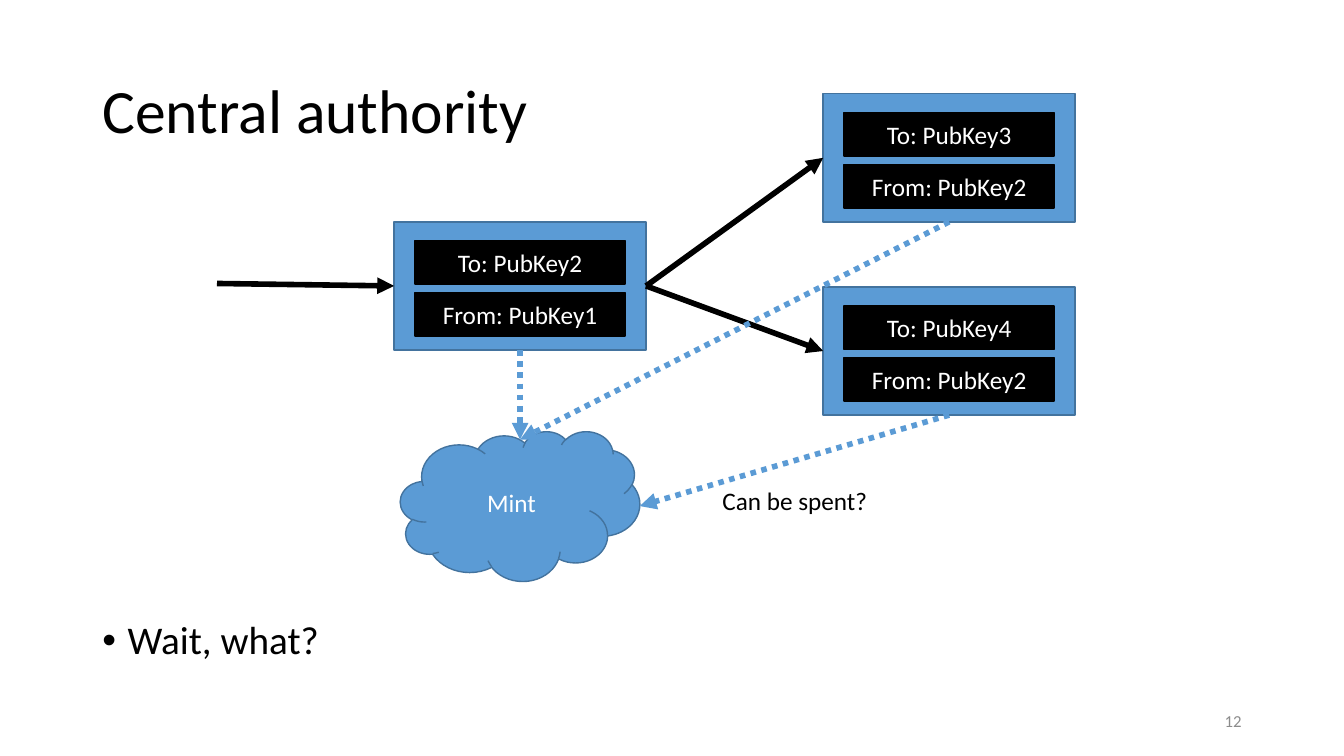
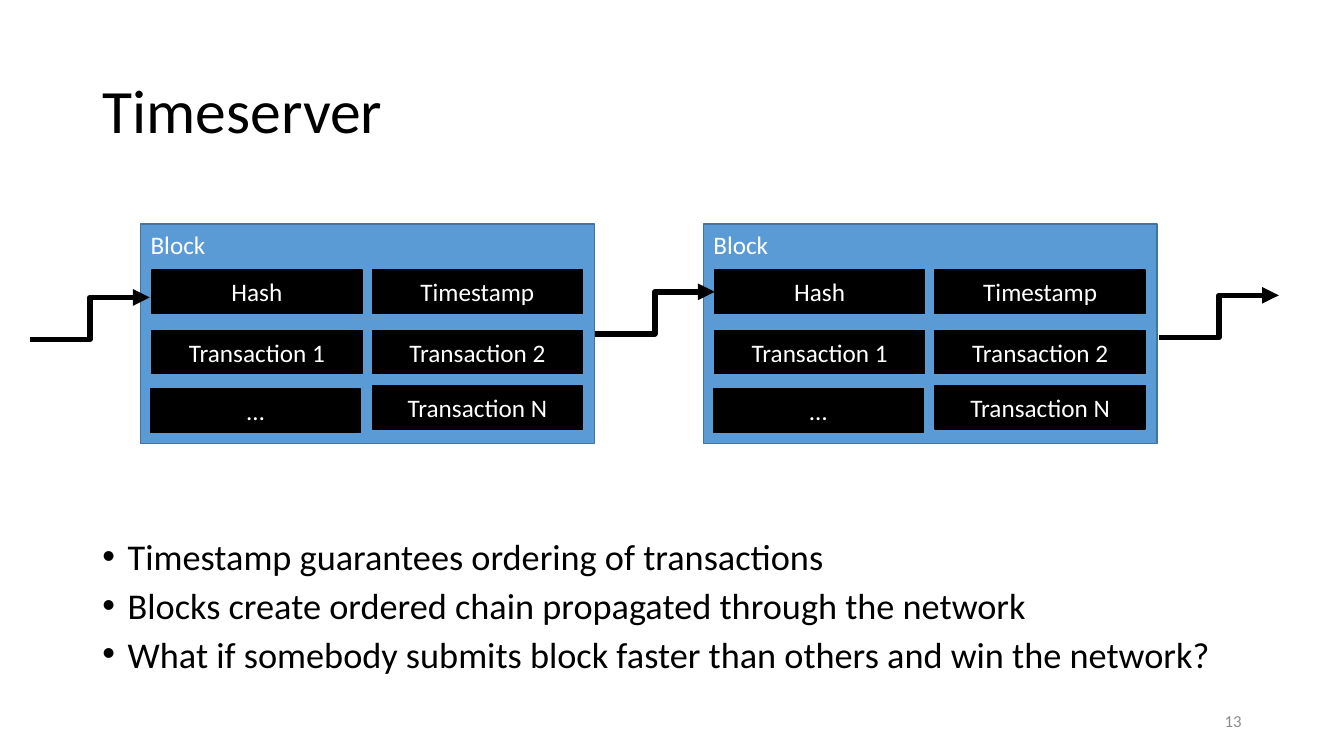
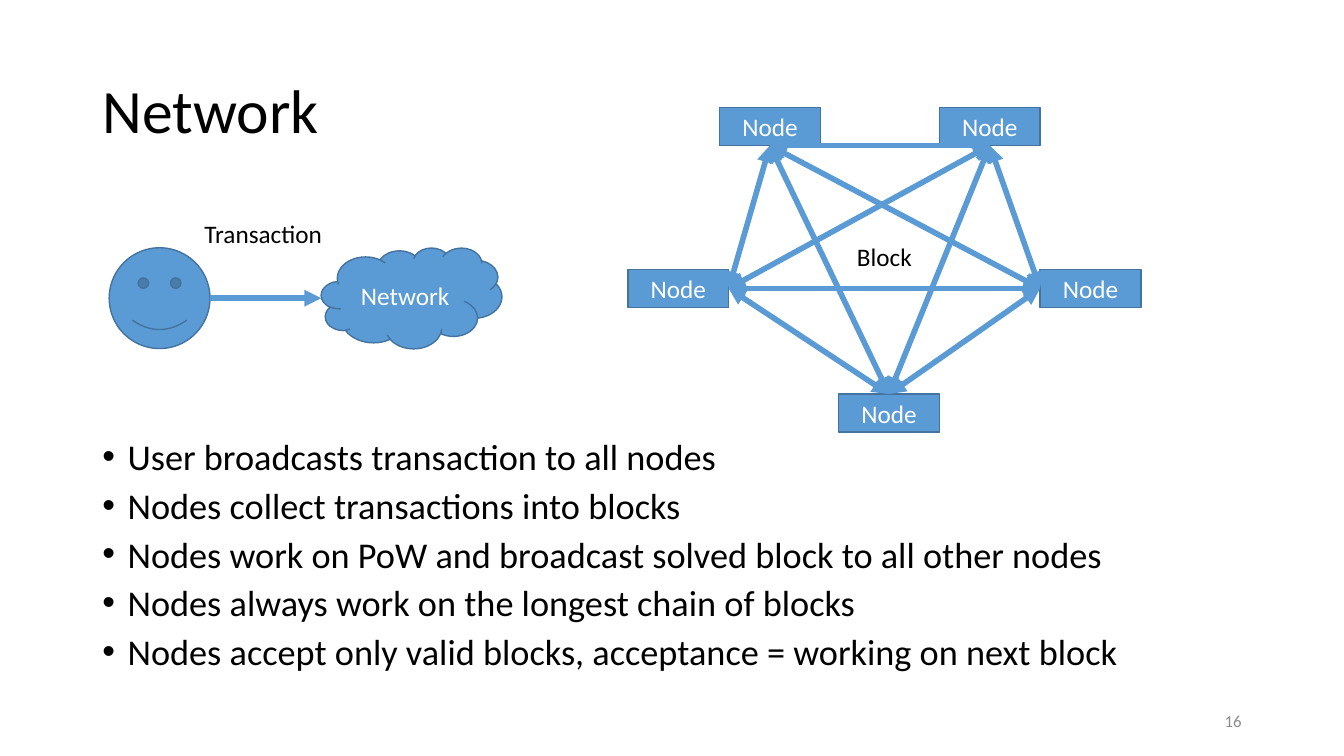
from itertools import combinations

from lxml import etree
from pptx import Presentation
from pptx.dml.color import RGBColor
from pptx.enum.dml import MSO_LINE
from pptx.enum.shapes import MSO_CONNECTOR, MSO_SHAPE
from pptx.enum.text import MSO_ANCHOR, MSO_AUTO_SIZE, PP_ALIGN
from pptx.oxml.ns import qn
from pptx.util import Pt

RECT, CLOUD, SMILEY = MSO_SHAPE.RECTANGLE, MSO_SHAPE.CLOUD, MSO_SHAPE.SMILEY_FACE
STRAIGHT, ELBOW = MSO_CONNECTOR.STRAIGHT, MSO_CONNECTOR.ELBOW
TOP, MIDDLE = MSO_ANCHOR.TOP, MSO_ANCHOR.MIDDLE
LEFT, CENTER, RIGHT = PP_ALIGN.LEFT, PP_ALIGN.CENTER, PP_ALIGN.RIGHT
NO_FIT = MSO_AUTO_SIZE.NONE
DOTTED = MSO_LINE.ROUND_DOT

FONT = "Calibri"
COLORS = {
    "black": "000000",
    "white": "FFFFFF",
    "blue": "5B9BD5",
    "edge": "43739E",
    "gray": "8C8C8C",
}
RGB = {name: RGBColor.from_string(value) for name, value in COLORS.items()}


def add_box(s, x, y, w, h, text="", kind=RECT, fill="blue", edge="edge",
            anchor=MIDDLE, align=CENTER):
    sp = s.shapes.add_shape(kind, Pt(x), Pt(y), Pt(w), Pt(h))
    sp.shadow.inherit = False
    sp.fill.solid()
    sp.fill.fore_color.rgb = RGB[fill]
    sp.line.color.rgb = RGB[edge]
    sp.line.width = Pt(1)
    if text:
        tf = sp.text_frame
        tf.word_wrap = True
        tf.vertical_anchor = anchor
        p = tf.paragraphs[0]
        p.alignment = align
        r = p.add_run()
        r.text = text
        r.font.name, r.font.size = FONT, Pt(18)
        r.font.color.rgb = RGB["white"]


def add_arrow(s, start, end, color="black", kind=STRAIGHT, dash=None, both=False):
    cx = s.shapes.add_connector(kind, *[Pt(v) for v in (*start, *end)])
    cx.line.color.rgb = RGB[color]
    cx.line.width = Pt(4)
    if dash:
        cx.line.dash_style = dash
    ln = cx.line._get_or_add_ln()
    for tag in ("a:headEnd", "a:tailEnd") if both else ("a:tailEnd",):
        etree.SubElement(ln, qn(tag), type="triangle")
    etree.SubElement(cx._element.spPr, qn("a:effectLst"))


prs = Presentation()
prs.slide_width, prs.slide_height = Pt(960), Pt(540)

# Titles, lists, page numbers and labels: (text, x, y, width)
pages = [
    dict(title="Central authority", number="12", top=440, height=46.5,
         size=28, spacing=0.9, bullets=["Wait, what?"],
         labels=[("Can be spent?", 509, 343, 119.5)]),
    dict(title="Timeserver", number="13", top=384, height=103,
         size=25.9, spacing=0.8, labels=[],
         bullets=["Timestamp guarantees ordering of transactions",
                  "Blocks create ordered chain propagated through the network",
                  "What if somebody submits block faster than others and win the network?"]),
    dict(title="Network", number="16", top=312.5, height=173.5,
         size=25.9, spacing=0.8,
         bullets=["User broadcasts transaction to all nodes",
                  "Nodes collect transactions into blocks",
                  "Nodes work on PoW and broadcast solved block to all other nodes",
                  "Nodes always work on the longest chain of blocks",
                  "Nodes accept only valid blocks, acceptance = working on next block"],
         labels=[("Transaction", 139, 152.5, 99.5), ("Block", 605, 168.5, 54)]),
]
slides = []
for page in pages:
    s = prs.slides.add_slide(prs.slide_layouts[1])
    slides.append(s)

    title = s.shapes.title
    title.left, title.top, title.width, title.height = Pt(66), Pt(29), Pt(828), Pt(104)
    tf = title.text_frame
    tf.auto_size = NO_FIT
    tf.vertical_anchor = MIDDLE
    p = tf.paragraphs[0]
    p.alignment, p.line_spacing = LEFT, 0.9
    r = p.add_run()
    r.text = page["title"]
    r.font.name, r.font.size = FONT, Pt(44)
    r.font.color.rgb = RGB["black"]

    body = s.placeholders[1]
    body.left, body.top = Pt(66), Pt(page["top"])
    body.width, body.height = Pt(828), Pt(page["height"])
    tf = body.text_frame
    tf.auto_size = NO_FIT
    for i, text in enumerate(page["bullets"]):
        p = tf.add_paragraph() if i else tf.paragraphs[0]
        pPr = p._p.get_or_add_pPr()
        pPr.set("marL", str(Pt(18)))
        pPr.set("indent", str(Pt(-18)))
        etree.SubElement(pPr, qn("a:buFont"), typeface="Arial")
        etree.SubElement(pPr, qn("a:buChar"), char="•")
        p.line_spacing = page["spacing"]
        p.space_before = Pt(10 if i else 0)
        r = p.add_run()
        r.text = text
        r.font.name, r.font.size = FONT, Pt(page["size"])
        r.font.color.rgb = RGB["black"]

    texts = [(*label, 18, "black", LEFT) for label in page["labels"]]
    texts.append((page["number"], 678, 500.5, 216, 12, "gray", RIGHT))
    for text, x, y, w, size, color, align in texts:
        tf = s.shapes.add_textbox(Pt(x), Pt(y), Pt(w), Pt(29)).text_frame
        tf.word_wrap = align == RIGHT
        tf.vertical_anchor = MIDDLE
        p = tf.paragraphs[0]
        p.alignment = align
        r = p.add_run()
        r.text = text
        r.font.name, r.font.size = FONT, Pt(size)
        r.font.color.rgb = RGB[color]

authority, timeserver, network = slides
CELL_W, CELL_H = 150, 31

# Central authority: transactions
CARD_W, CARD_H = 180, 91.5
cards = [(281.5, 158.5, "2", "1"), (588, 67, "3", "2"), (588, 205, "4", "2")]
for x, y, receiver, sender in cards:
    add_box(authority, x, y, CARD_W, CARD_H)
    rows = ["To: PubKey" + receiver, "From: PubKey" + sender]
    for i, text in enumerate(rows):
        add_box(authority, x + 15, y + 13.5 + 37 * i, CELL_W, CELL_H, text,
                fill="black", edge="black")

# Central authority: payments and checks by the mint
left_mid = [(x, y + CARD_H / 2) for x, y, *_ in cards]
bottom_mid = [(x + CARD_W / 2, y + CARD_H) for x, y, *_ in cards]
payer = (cards[0][0] + CARD_W, left_mid[0][1])
add_arrow(authority, (155, 202.5), left_mid[0])
for target in left_mid[1:]:
    add_arrow(authority, payer, target)
add_box(authority, 286, 308, 171, 107, "Mint", kind=CLOUD)
mint_top, mint_right = (371.5, 314), (457, 361.5)
for start, end in zip(bottom_mid, (mint_top, mint_top, mint_right)):
    add_arrow(authority, start, end, "blue", dash=DOTTED)

# Timeserver: blocks with cells at offsets from the block corner
cells = [
    ("Hash", 8, 33), ("Timestamp", 165.5, 33),
    ("Transaction 1", 8, 76), ("Transaction 2", 165.5, 76),
    ("…", 7, 118), ("Transaction N", 165.5, 115.5),
]
for x in (100.5, 502.5):
    add_box(timeserver, x, 160, 324, 157, "Block", anchor=TOP, align=LEFT)
    for text, dx, dy in cells:
        add_box(timeserver, x + dx, 160 + dy, CELL_W, CELL_H, text,
                fill="black", edge="black")
for x, y in [(21.5, 242.5), (425, 238.5), (828, 241)]:
    add_arrow(timeserver, (x, y), (x + 85.5, y - 30), kind=ELBOW)

# Network: user sends a transaction
add_box(network, 78, 177, 72, 72, kind=SMILEY)
add_box(network, 229.5, 177, 129, 72, "Network", kind=CLOUD)
add_arrow(network, (150, 213), (229.5, 213), "blue")

# Network: every node linked to every other, (x, y, link dx, link dy)
NODE_W, NODE_H = 72, 27
nodes = [
    (514, 77, NODE_W / 2, NODE_H), (671, 77, NODE_W / 2, NODE_H),
    (448.5, 192.5, NODE_W, NODE_H / 2), (599, 281.5, NODE_W / 2, 0),
    (743, 192.5, 0, NODE_H / 2),
]
for x, y, dx, dy in nodes:
    add_box(network, x, y, NODE_W, NODE_H, "Node")
links = [(x + dx, y + dy) for x, y, dx, dy in nodes]
for start, end in combinations(links, 2):
    add_arrow(network, start, end, "blue", both=True)

prs.save("out.pptx")
